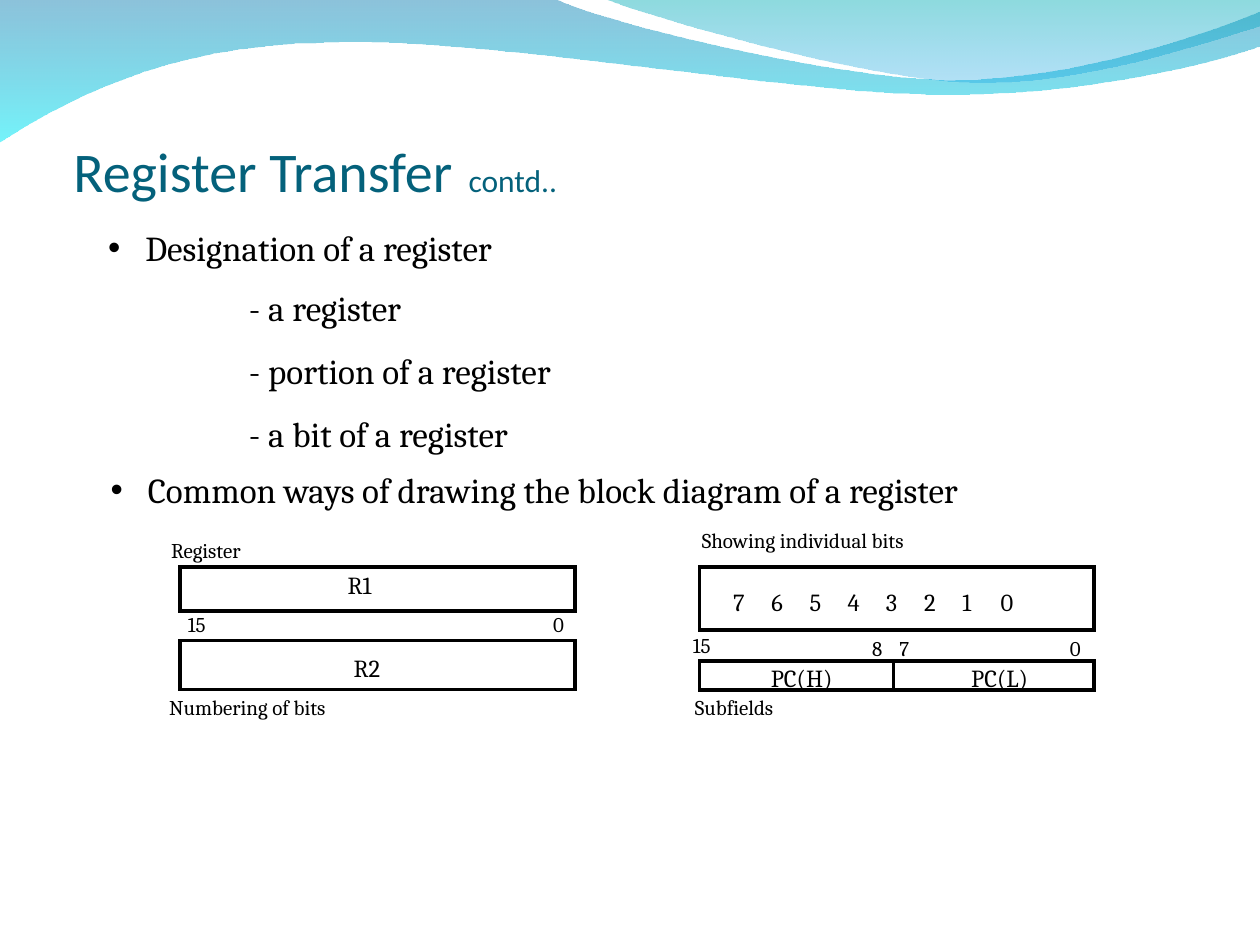
from lxml.etree import SubElement
from pptx import Presentation
from pptx.dml.color import RGBColor
from pptx.enum.shapes import MSO_CONNECTOR, MSO_SHAPE
from pptx.enum.text import MSO_ANCHOR, MSO_AUTO_SIZE
from pptx.oxml.ns import qn
from pptx.util import Cm, Pt

COLORS = {
    "ink": "000000",
    "title": "04617B",
    "wave_top": "0079AF",
    "wave_bottom": "00EBF8",
    "crest_top": "00ADB6",
    "crest_bottom": "009BE5",
}
BODY_FONT = "Cambria"
TITLE_FONT = "Calibri"
REGISTER_WIDTH = 7.96
LEFT_REGISTER, RIGHT_REGISTER = 3.63, 14.1
BIT_PITCH = 0.77

# Outlines in centimetres: the start, then segments. One point makes a
# straight segment; two control points and an end point make a curve.
WAVE = [
    ((0, -0.03),),
    ((11.18, -0.03),),
    ((12.09, 0.43), (16.87, 1.6), (19.25, 1.6)),
    ((21.67, 1.6), (24.33, 0.66), (25.4, 0.23)),
    ((25.43, 0.91),),
    ((24.97, 1.12), (22.1, 1.93), (18.95, 1.9)),
    ((15.8, 1.9), (9.7, 0.71), (6.53, 0.86)),
    ((3.28, 0.89), (1.17, 2.11), (-0.03, 2.87)),
]
CREST = [
    ((12.17, -0.03),),
    ((12.93, 0.28), (17.32, 1.57), (19.53, 1.65)),
    ((21.74, 1.75), (24.41, 0.81), (25.4, 0.53)),
    ((25.4, 0),),
]


def rgb(name):
    return RGBColor.from_string(COLORS[name])


def bend_segments(shape, segments):
    """Merge the three straight steps of each curved segment into one curve."""
    steps = list(shape._element.iter(qn("a:lnTo")))
    for segment in segments:
        group, steps = steps[:len(segment)], steps[len(segment):]
        if len(segment) == 3:
            outline = group[0].getparent()
            curve = outline.makeelement(qn("a:cubicBezTo"), {})
            group[0].addprevious(curve)
            for step in group:
                curve.append(step[0])
                outline.remove(step)


def add_band(slide, outline, stops):
    """Curved outline with a downward gradient of (colour, opacity) stops."""
    points = [(Cm(x), Cm(y)) for segment in outline for x, y in segment]
    builder = slide.shapes.build_freeform(*points[0])
    builder.add_line_segments(points[1:], close=True)
    shape = builder.convert_to_shape()
    bend_segments(shape, outline[1:])
    shape.shadow.inherit = False
    shape.line.fill.background()
    shape.fill.gradient()
    shape.fill.gradient_angle = 270
    for stop, (color, opacity) in zip(shape.fill.gradient_stops, stops):
        stop.color.rgb = rgb(color)
        color_element = next(stop.color._xFill.iter(qn("a:srgbClr")))
        SubElement(color_element, qn("a:alpha"), val=str(opacity * 1000))


def add_text_box(slide, left, top, width, height, insets=(0.18, 0.08)):
    box = slide.shapes.add_textbox(Cm(left), Cm(top), Cm(width), Cm(height))
    frame = box.text_frame
    frame.word_wrap = True
    frame.auto_size = MSO_AUTO_SIZE.SHAPE_TO_FIT_TEXT
    frame.margin_left = frame.margin_right = Cm(insets[0])
    frame.margin_top = frame.margin_bottom = Cm(insets[1])
    return frame


def add_run(paragraph, text, size, font=BODY_FONT, color="ink"):
    run = paragraph.add_run()
    run.text = text
    run.font.size = Pt(size)
    run.font.name = font
    run.font.color.rgb = rgb(color)


def add_label(slide, text, left, top, width, size=12, indent=0):
    height, spacing = (0.64, 0.97) if size == 12 else (0.74, 1.0)
    paragraph = add_text_box(slide, left, top, width, height).paragraphs[0]
    paragraph.line_spacing = spacing
    if indent:
        paragraph._p.get_or_add_pPr().set("marL", str(Cm(indent)))
    add_run(paragraph, text, size)
    return paragraph


def add_bullet(slide, text, left, top, width, height, insets, spacing):
    frame = add_text_box(slide, left, top, width, height, insets)
    paragraph = frame.paragraphs[0]
    paragraph.line_spacing = spacing
    properties = paragraph._p.get_or_add_pPr()
    properties.set("marL", str(Cm(0.75)))
    properties.set("indent", str(-Cm(0.75)))
    bullet_color = SubElement(properties, qn("a:buClr"))
    SubElement(bullet_color, qn("a:srgbClr"), val=COLORS["ink"])
    SubElement(properties, qn("a:buFont"), typeface="Arial")
    SubElement(properties, qn("a:buChar"), char="•")
    add_run(paragraph, text, 20)


def style_line(line):
    line.color.rgb = rgb("ink")
    line.width = Pt(2)
    SubElement(line._get_or_add_ln(), qn("a:miter"), lim="800000")


def add_register(slide, left, top, height):
    shape = slide.shapes.add_shape(
        MSO_SHAPE.RECTANGLE, Cm(left), Cm(top), Cm(REGISTER_WIDTH), Cm(height))
    shape.shadow.inherit = False
    shape.fill.background()
    style_line(shape.line)


def add_divider(slide, x, top, bottom):
    connector = slide.shapes.add_connector(
        MSO_CONNECTOR.STRAIGHT, Cm(x), Cm(top), Cm(x), Cm(bottom))
    style_line(connector.line)
    SubElement(connector._element.spPr, qn("a:effectLst"))


def add_bit_row(slide, left, top, width):
    """Bits 7 to 0, set apart by evenly spaced tab stops."""
    bits = [str(bit) for bit in range(7, -1, -1)]
    paragraph = add_label(slide, "\t".join(bits), left, top, width, size=14)
    tabs = SubElement(paragraph._p.get_or_add_pPr(), qn("a:tabLst"))
    for index in range(1, len(bits)):
        SubElement(tabs, qn("a:tab"), pos=str(Cm(BIT_PITCH * index)), algn="l")


def add_header(slide):
    add_band(slide, WAVE, [("wave_top", 45), ("wave_bottom", 55)])
    add_band(slide, CREST, [("crest_top", 45), ("crest_bottom", 30)])
    frame = add_text_box(slide, 1.48, 2.11, 15.57, 2.06, (0, 0))
    frame.auto_size = MSO_AUTO_SIZE.NONE
    frame.margin_top = Cm(0.13)
    frame.vertical_anchor = MSO_ANCHOR.BOTTOM
    for text, size in (("Register Transfer", 32), (" ", 40), ("contd..", 18)):
        add_run(frame.paragraphs[0], text, size, TITLE_FONT, "title")


def add_outline(slide):
    add_bullet(slide, "Designation of a register",
               1.93, 4.43, 9.17, 1.09, (0.25, 0.13), 1.0)
    frame = add_text_box(slide, 4.52, 5.27, 7.85, 4.83)
    for index, item in enumerate(("a register", "portion of a register",
                                  "a bit of a register")):
        paragraph = frame.add_paragraph() if index else frame.paragraphs[0]
        paragraph.line_spacing = 1.5
        paragraph._p.get_or_add_pPr().set("marL", str(Cm(0.32)))
        add_run(paragraph, f"- {item}", 20)
    add_bullet(slide, "Common ways of drawing the block diagram of a register",
               2.05, 9.49, 20.12, 0.86, (0.18, 0.08), 0.85)


def add_diagrams(slide):
    for left, top, height in ((LEFT_REGISTER, 11.43, 0.89),
                              (LEFT_REGISTER, 12.91, 0.99),
                              (RIGHT_REGISTER, 11.43, 1.27),
                              (RIGHT_REGISTER, 13.33, 0.58)):
        add_register(slide, left, top, height)
    add_divider(slide, 18.01, 13.36, 13.94)

    for text, left, top, width in (("R1", 6.83, 11.42, 0.97),
                                   ("R2", 6.95, 13.08, 0.97),
                                   ("PC(H)", 15.36, 13.28, 1.7),
                                   ("PC(L)", 19.4, 13.28, 1.6)):
        add_label(slide, text, left, top, width, size=14)
    add_bit_row(slide, 14.6, 11.75, 7.09)

    add_label(slide, "Register", 3.17, 10.79, 2.29, indent=0.1)
    for text, left, top, width in (
            ("Showing individual bits", 13.97, 10.58, 5.11),
            ("Numbering of bits", 3.23, 13.96, 4.01),
            ("Subfields", 13.83, 13.96, 2.21),
            ("15", 3.61, 12.27, 0.84), ("0", 10.97, 12.27, 0.58),
            ("15", 13.79, 12.7, 0.84), ("8", 17.4, 12.77, 0.58),
            ("7", 17.95, 12.77, 0.58), ("0", 21.39, 12.77, 0.58)):
        add_label(slide, text, left, top, width)


def main():
    presentation = Presentation()
    presentation.slide_width, presentation.slide_height = Cm(25.4), Cm(19.05)
    slide = presentation.slides.add_slide(presentation.slide_layouts[6])
    add_header(slide)
    add_outline(slide)
    add_diagrams(slide)
    presentation.save("out.pptx")


if __name__ == "__main__":
    main()
